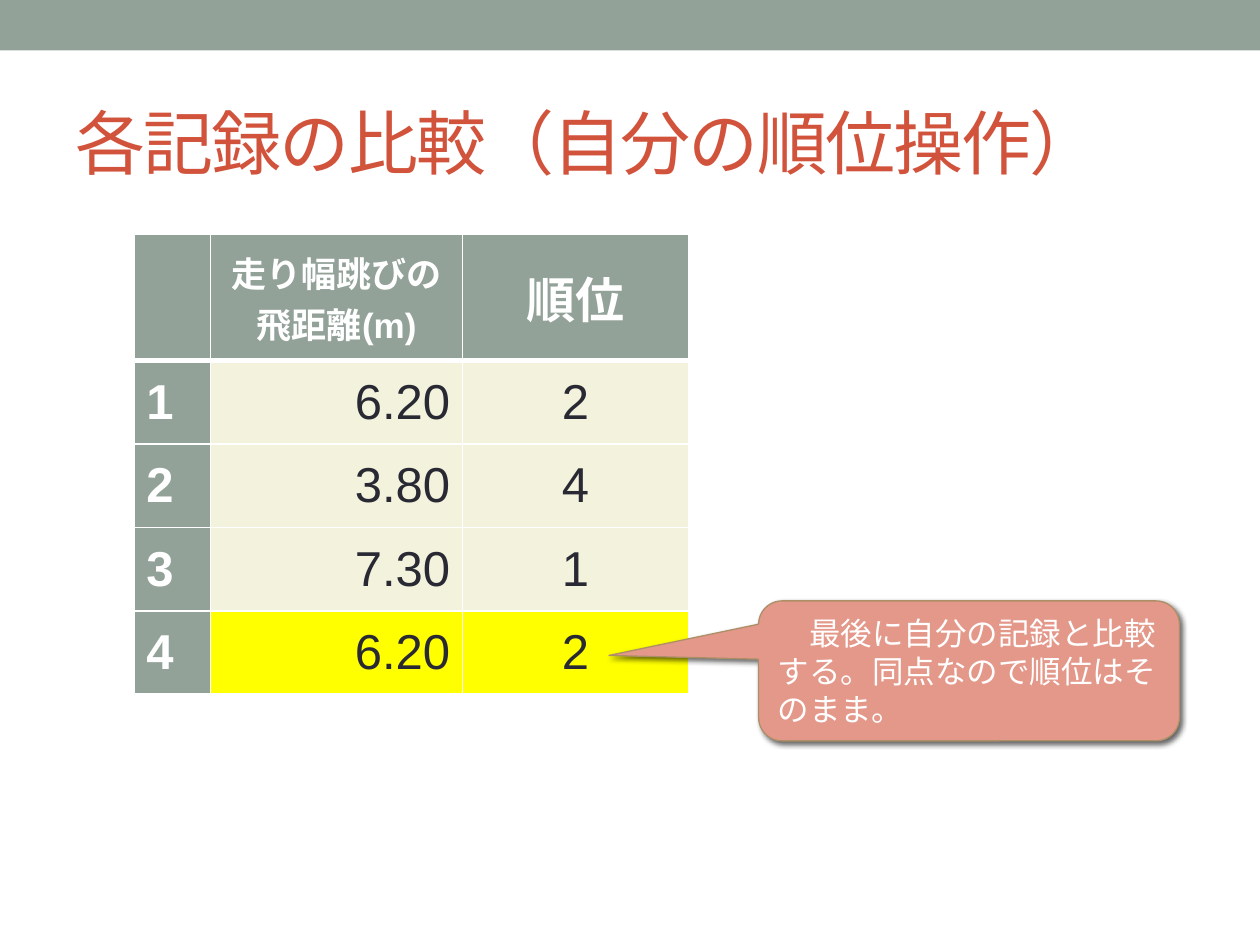
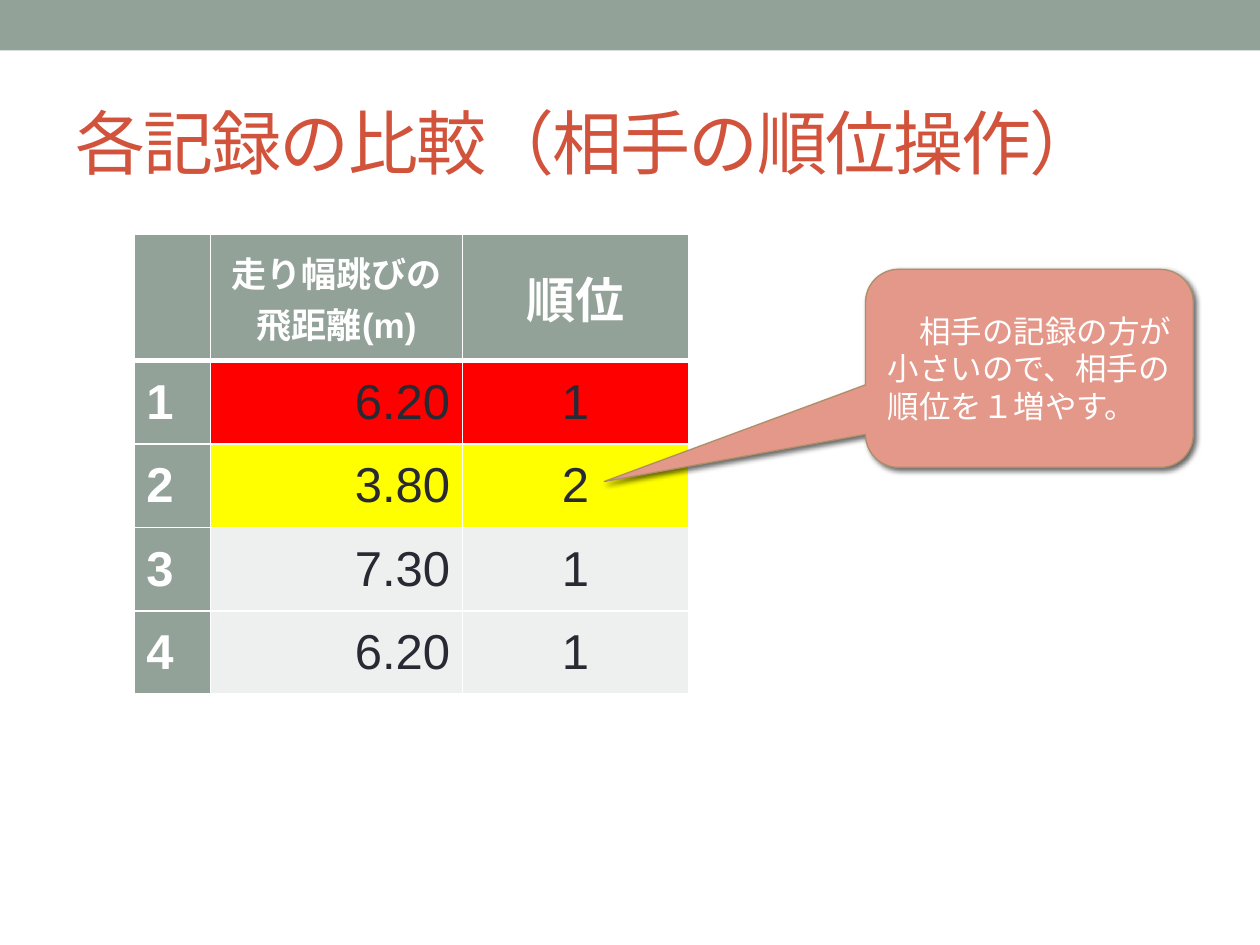
"""Build two slides that compare long jump records and update their ranks."""
from dataclasses import dataclass

from lxml import etree
from pptx import Presentation
from pptx.dml.color import RGBColor
from pptx.enum.lang import MSO_LANGUAGE_ID
from pptx.enum.shapes import MSO_SHAPE
from pptx.enum.text import MSO_ANCHOR, PP_ALIGN
from pptx.oxml.ns import qn
from pptx.util import Pt

LEFT, CENTER, RIGHT = PP_ALIGN.LEFT, PP_ALIGN.CENTER, PP_ALIGN.RIGHT
MIDDLE = MSO_ANCHOR.MIDDLE
RECTANGLE = MSO_SHAPE.RECTANGLE
CALLOUT = MSO_SHAPE.ROUNDED_RECTANGULAR_CALLOUT
JAPANESE = MSO_LANGUAGE_ID.JAPANESE


@dataclass(frozen=True)
class Theme:
    """Colours and type sizes of the presentation."""
    font: str = "Arial"
    sage: str = "93A299"
    red_title: str = "D2533C"
    ink: str = "292934"
    white: str = "FFFFFF"
    cream: str = "F3F2DC"
    pale_gray: str = "EEF0EF"
    yellow: str = "FFFF00"
    red: str = "FF0000"
    salmon: str = "E4988A"
    tan: str = "AD8F67"
    shadow: str = "000000"
    title_size: float = 40
    value_size: float = 28
    label_size: float = 20
    note_size: float = 18


@dataclass(frozen=True)
class Box:
    """A rectangle in points."""
    left: float
    top: float
    width: float
    height: float

    def lengths(self) -> tuple[Pt, Pt, Pt, Pt]:
        """Return the rectangle as lengths."""
        return Pt(self.left), Pt(self.top), Pt(self.width), Pt(self.height)


@dataclass(frozen=True)
class TextStyle:
    """Look of a paragraph."""
    size: float
    color: str
    align: PP_ALIGN = LEFT
    bold: bool = False
    spacing: float = 0


@dataclass(frozen=True)
class Note:
    """A callout whose tip is a point on the slide."""
    text: str
    box: Box
    tip: tuple[float, float]


@dataclass(frozen=True)
class RankingSlide:
    """Content of one slide."""
    title: str
    ranks: tuple[int, ...]
    row_fills: tuple[str, ...]
    note: Note


THEME = Theme()
SLIDE_WIDTH, SLIDE_HEIGHT = 720, 540
BAND_BOX = Box(0, 0, SLIDE_WIDTH, 28.8)
TITLE_BOX = Box(36, 42, 648, 78)
TABLE_LEFT, TABLE_TOP = 76.5, 134
COLUMN_WIDTHS = (43.9, 144, 129)
HEADER_HEIGHT, ROW_HEIGHT = 72, 47.7
CORNER_RATIO = 0.167
DISTANCES = ("6.20", "3.80", "7.30", "6.20")

TITLE_STYLE = TextStyle(THEME.title_size, THEME.red_title, spacing=-1)
NOTE_STYLE = TextStyle(THEME.note_size, THEME.white)
LABEL_STYLE = TextStyle(THEME.label_size, THEME.white, CENTER, True)
RANK_LABEL_STYLE = TextStyle(THEME.value_size, THEME.white, CENTER, True)
NUMBER_STYLE = TextStyle(THEME.value_size, THEME.white, LEFT, True)
DISTANCE_STYLE = TextStyle(THEME.value_size, THEME.ink, RIGHT)
RANK_STYLE = TextStyle(THEME.value_size, THEME.ink, CENTER)

SLIDES = (
    RankingSlide(
        "各記録の比較（自分の順位操作）",
        (2, 4, 1, 2),
        (THEME.cream, THEME.cream, THEME.cream, THEME.yellow),
        Note("　最後に自分の記録と比較する。同点なので順位はそのまま。",
             Box(433.5, 343.4, 240.5, 80), (348, 374.6)),
    ),
    RankingSlide(
        "各記録の比較（相手の順位操作）",
        (1, 2, 1, 1),
        (THEME.red, THEME.yellow, THEME.pale_gray, THEME.pale_gray),
        Note("　相手の記録の方が小さいので、相手の順位を１増やす。",
             Box(494.6, 153.9, 187.3, 113.2), (345.3, 275.2)),
    ),
)


def fill_solid(target, color: str) -> None:
    """Fill a shape or a cell with one colour."""
    target.fill.solid()
    target.fill.fore_color.rgb = RGBColor.from_string(color)


def write_text(text_frame, text: str, style: TextStyle) -> None:
    """Write each line of the text as a styled paragraph."""
    text_frame.word_wrap = True
    text_frame.text = text
    for paragraph in text_frame.paragraphs:
        paragraph.alignment = style.align
        font = paragraph.font
        font.name = THEME.font
        font.size = Pt(style.size)
        font.bold = style.bold
        font.color.rgb = RGBColor.from_string(style.color)
        for run in paragraph.runs:
            run.font.language_id = JAPANESE
            if style.spacing:
                run._r.get_or_add_rPr().set("spc", str(round(style.spacing * 100)))


def add_band(slide) -> None:
    """Draw the band along the top edge."""
    band = slide.shapes.add_shape(RECTANGLE, *BAND_BOX.lengths())
    band.shadow.inherit = False
    band.line.fill.background()
    fill_solid(band, THEME.sage)


def add_title(slide, title: str) -> None:
    """Write the slide title."""
    text_frame = slide.shapes.add_textbox(*TITLE_BOX.lengths()).text_frame
    text_frame.vertical_anchor = MIDDLE
    write_text(text_frame, title, TITLE_STYLE)


def set_borders(cell, bottom_width: float) -> None:
    """Give a cell white borders, placed before its fill."""
    properties = cell._tc.get_or_add_tcPr()
    widths = {"a:lnL": 1, "a:lnR": 1, "a:lnT": 1, "a:lnB": bottom_width}
    for index, (tag, width) in enumerate(widths.items()):
        border = etree.Element(qn(tag), w=str(int(Pt(width))))
        solid = etree.SubElement(border, qn("a:solidFill"))
        etree.SubElement(solid, qn("a:srgbClr"), val=THEME.white)
        properties.insert(index, border)


def fill_cell(cell, text: str, style: TextStyle, color: str, bottom_width: float = 1) -> None:
    """Write and decorate one table cell."""
    cell.vertical_anchor = MIDDLE
    fill_solid(cell, color)
    set_borders(cell, bottom_width)
    write_text(cell.text_frame, text, style)


def add_ranking_table(slide, content: RankingSlide) -> None:
    """Draw the table of distances and ranks."""
    row_count = len(DISTANCES) + 1
    box = Box(TABLE_LEFT, TABLE_TOP, sum(COLUMN_WIDTHS),
              HEADER_HEIGHT + ROW_HEIGHT * len(DISTANCES))
    table = slide.shapes.add_table(row_count, len(COLUMN_WIDTHS), *box.lengths()).table
    table.horz_banding = False
    for column, width in zip(table.columns, COLUMN_WIDTHS):
        column.width = Pt(width)
    for index, row in enumerate(table.rows):
        row.height = Pt(ROW_HEIGHT if index else HEADER_HEIGHT)

    headers = (("", LABEL_STYLE), ("走り幅跳びの\n飛距離(m)", LABEL_STYLE),
               ("順位", RANK_LABEL_STYLE))
    for column_index, (text, style) in enumerate(headers):
        fill_cell(table.cell(0, column_index), text, style, THEME.sage, 3)
    records = zip(DISTANCES, content.ranks, content.row_fills)
    for number, (distance, rank, color) in enumerate(records, start=1):
        fill_cell(table.cell(number, 0), str(number), NUMBER_STYLE, THEME.sage)
        fill_cell(table.cell(number, 1), distance, DISTANCE_STYLE, color)
        fill_cell(table.cell(number, 2), str(rank), RANK_STYLE, color)


def add_shadow(shape) -> None:
    """Cast a soft shadow to the lower right."""
    shape.shadow.inherit = False
    effects = shape._element.spPr.find(qn("a:effectLst"))
    shadow = etree.SubElement(
        effects, qn("a:outerShdw"), blurRad=str(int(Pt(3))), dist=str(int(Pt(2))),
        dir=str(45 * 60000), rotWithShape="0")
    color = etree.SubElement(shadow, qn("a:srgbClr"), val=THEME.shadow)
    etree.SubElement(color, qn("a:alpha"), val="60000")


def add_note(slide, note: Note) -> None:
    """Draw a callout that points at its tip."""
    box = note.box
    callout = slide.shapes.add_shape(CALLOUT, *box.lengths())
    callout.adjustments[0] = (note.tip[0] - box.left) / box.width - 0.5
    callout.adjustments[1] = (note.tip[1] - box.top) / box.height - 0.5
    callout.adjustments[2] = CORNER_RATIO
    fill_solid(callout, THEME.salmon)
    callout.line.color.rgb = RGBColor.from_string(THEME.tan)
    callout.line.width = Pt(0.75)
    add_shadow(callout)
    callout.text_frame.vertical_anchor = MIDDLE
    write_text(callout.text_frame, note.text, NOTE_STYLE)


def main() -> None:
    """Build and save the presentation."""
    presentation = Presentation()
    presentation.slide_width = Pt(SLIDE_WIDTH)
    presentation.slide_height = Pt(SLIDE_HEIGHT)
    blank_layout = presentation.slide_layouts[6]
    for content in SLIDES:
        slide = presentation.slides.add_slide(blank_layout)
        add_band(slide)
        add_ranking_table(slide, content)
        add_note(slide, content.note)
        add_title(slide, content.title)
    presentation.save("out.pptx")


if __name__ == "__main__":
    main()
